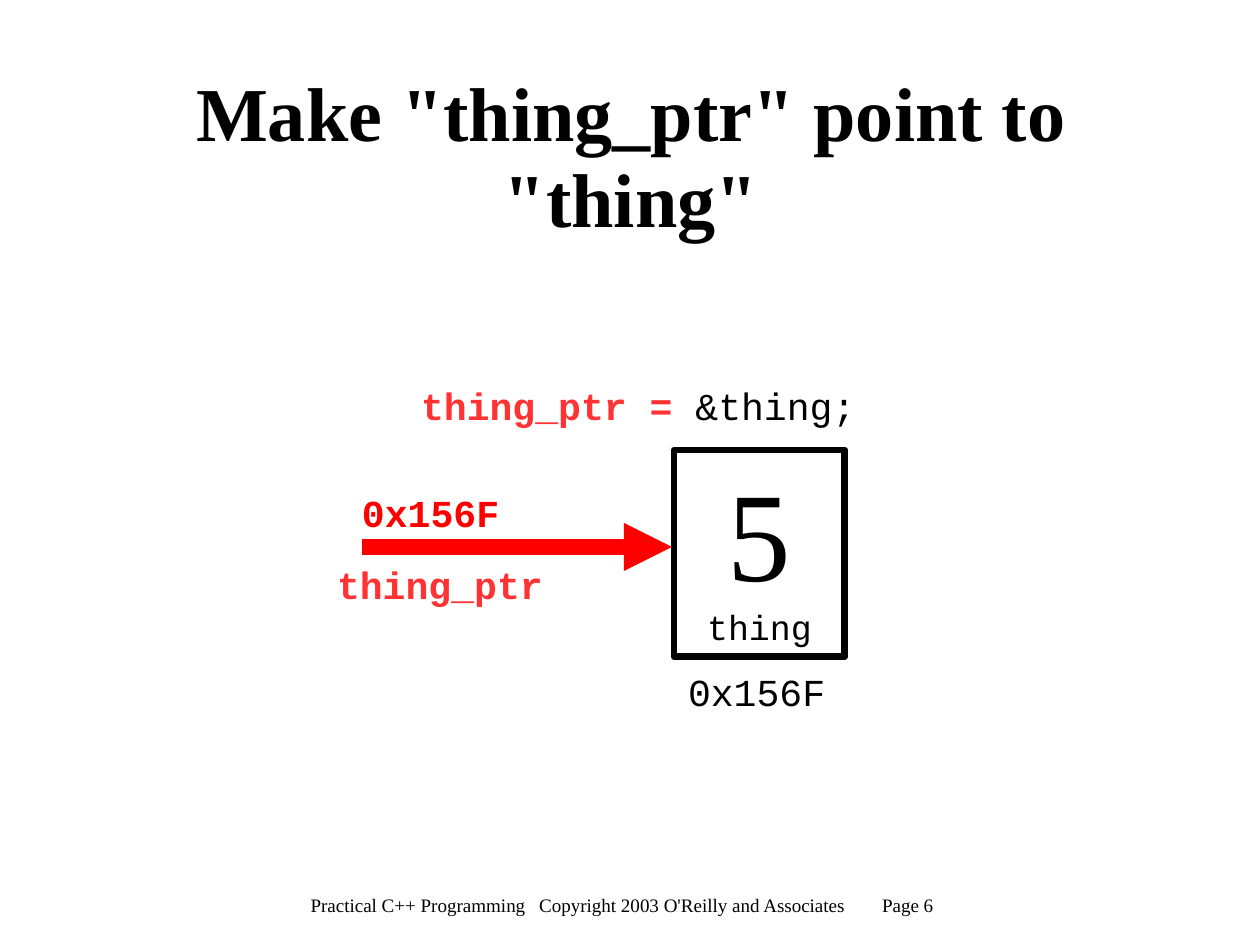
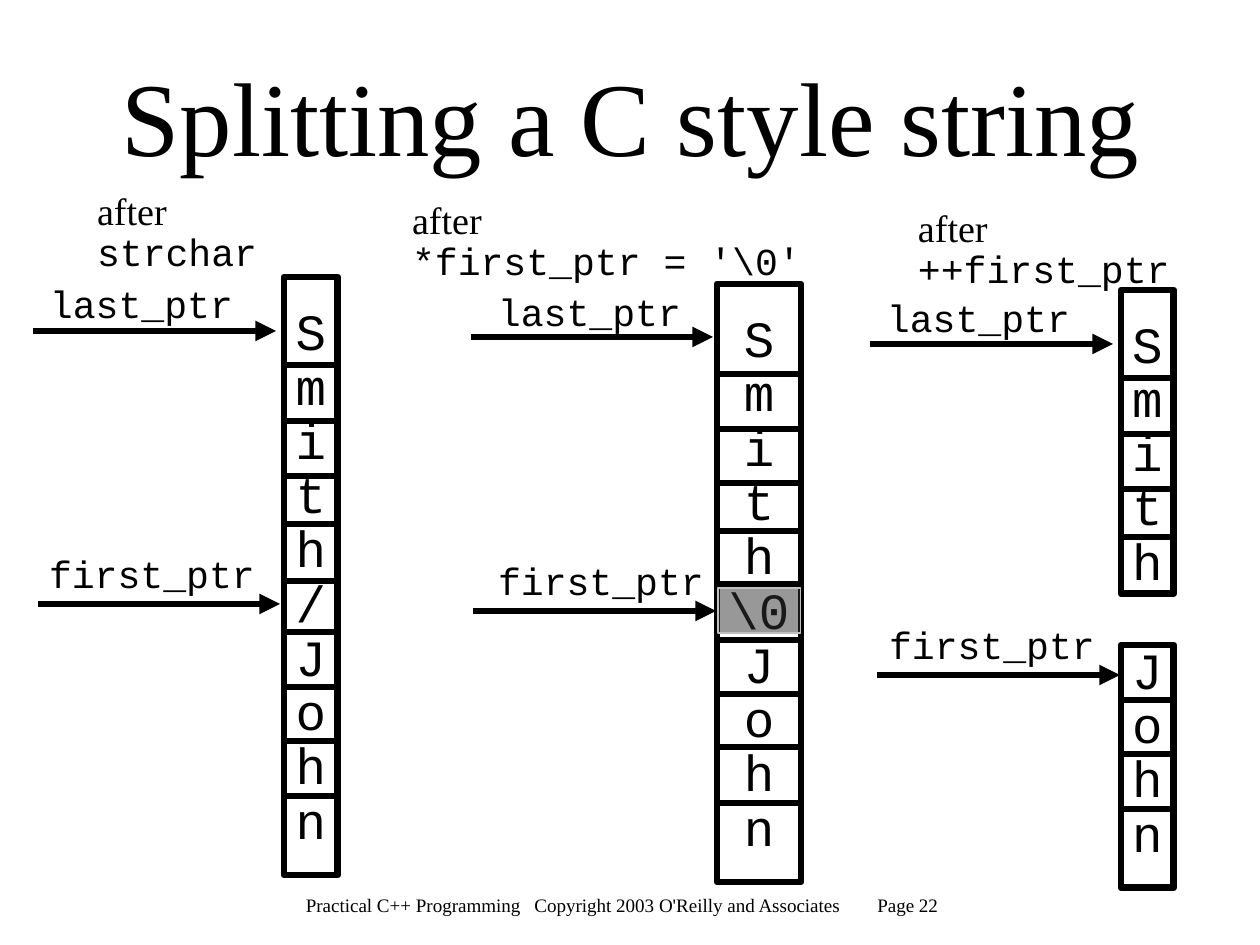
"""Build two slides on pointers and on splitting a C style string."""
from dataclasses import dataclass

import lxml.etree
import pptx
import pptx.dml.color
import pptx.enum.shapes
import pptx.enum.text
import pptx.oxml
import pptx.oxml.ns
import pptx.util

EMU_PER_PX = 8000
ALIGN = pptx.enum.text.PP_ALIGN
ANCHOR = pptx.enum.text.MSO_ANCHOR
SHAPE = pptx.enum.shapes.MSO_SHAPE


@dataclass(frozen=True)
class Theme:
    """Colours, fonts, type sizes and line widths."""
    black: str = "000000"
    white: str = "FFFFFF"
    red: str = "FF0000"
    soft_red: str = "FF3333"
    veil: str = "333333"
    veil_edge: str = "C0C0C0"
    serif: str = "Times New Roman"
    mono: str = "Courier New"
    footer: int = 12
    cell_name: int = 22
    label: int = 24
    letter: int = 32
    title: int = 48
    big_title: int = 66
    value: int = 80
    hairline: float = 0.75
    stroke: float = 4.31
    heavy: float = 10.09


THEME = Theme()
LINE_SPACING = {THEME.serif: 0.95, THEME.mono: 0.89}
ROW_EDGES = (0, 88, 144, 199, 247, 304, 355, 410, 464, 519, 598)
WIDE_ROW_EDGES = (0, 90, 145, 199, 247, 300, 356, 410, 463, 519, 598)


@dataclass(frozen=True)
class Box:
    """Place and size in px."""
    left: int
    top: int
    width: int
    height: int


@dataclass(frozen=True)
class Run:
    """Text in one colour and weight."""
    text: str
    color: str = THEME.black
    bold: bool = False


@dataclass(frozen=True)
class Line:
    """One paragraph with its font and size."""
    runs: tuple[Run, ...]
    font: str = THEME.mono
    size: int = THEME.label
    align: ALIGN = ALIGN.LEFT


@dataclass(frozen=True)
class Label:
    """Unwrapped text block."""
    box: Box
    lines: tuple[Line, ...]
    inset: int = 5


@dataclass(frozen=True)
class Arrow:
    """Horizontal arrow pointing right."""
    start: int
    end: int
    y: int
    color: str = THEME.black
    weight: float = THEME.stroke


@dataclass(frozen=True)
class Strip:
    """Run of letter cells, placed by the top of its whole column."""
    left: int
    top: int
    width: int
    letters: tuple[str, ...]
    first_row: int = 0
    row_edges: tuple[int, ...] = ROW_EDGES


def px(value: int) -> pptx.util.Emu:
    """Turn px into EMU."""
    return pptx.util.Emu(value * EMU_PER_PX)


def rgb(color: str) -> pptx.dml.color.RGBColor:
    """Turn a hex string into a colour."""
    return pptx.dml.color.RGBColor.from_string(color)


def place(box: Box) -> tuple[pptx.util.Emu, ...]:
    """Give left, top, width and height in EMU."""
    return px(box.left), px(box.top), px(box.width), px(box.height)


def code(text: str, color: str = THEME.black, bold: bool = False) -> Line:
    """Make a single-run line in the code font."""
    return Line((Run(text, color, bold),))


def write(shape, lines: tuple[Line, ...], insets: tuple[int, int, int, int],
          anchor: ANCHOR = ANCHOR.TOP, wrap: bool = False) -> None:
    """Fill a shape with lines of text."""
    frame = shape.text_frame
    frame.word_wrap = wrap
    frame.vertical_anchor = anchor
    (frame.margin_left, frame.margin_top,
     frame.margin_right, frame.margin_bottom) = map(px, insets)
    for index, line in enumerate(lines):
        paragraph = frame.add_paragraph() if index else frame.paragraphs[0]
        paragraph.alignment = line.align
        paragraph.line_spacing = LINE_SPACING[line.font]
        paragraph.font.name = line.font
        paragraph.font.size = pptx.util.Pt(line.size)
        paragraph.font.color.rgb = rgb(line.runs[0].color)
        paragraph.font.bold = line.runs[0].bold
        for part in line.runs:
            run = paragraph.add_run()
            run.text = part.text
            if len(line.runs) > 1:
                run.font.color.rgb = rgb(part.color)
                run.font.bold = part.bold


def add_label(slide, label: Label) -> None:
    """Draw an unwrapped text block."""
    write(slide.shapes.add_textbox(*place(label.box)), label.lines, (0, label.inset, 0, 0))


def add_title(slide, text: str, box: Box, size: int, bold: bool = False) -> None:
    """Draw a centred slide title."""
    line = Line((Run(text, bold=bold),), THEME.serif, size, ALIGN.CENTER)
    write(slide.shapes.add_textbox(*place(box)), (line,), (0, 4, 0, 0), ANCHOR.MIDDLE, True)


def add_footer(slide, page: int) -> None:
    """Draw the book line with its page number."""
    text = f"Practical C++ Programming\tCopyright 2003 O'Reilly and Associates\tPage {page}"
    line = Line((Run(text),), THEME.serif, THEME.footer, ALIGN.CENTER)
    add_label(slide, Label(Box(27, 894, 1190, 23), (line,), 1))


def add_block(slide, box: Box, fill: str | None = None, edge: str = THEME.black,
              weight: float = THEME.stroke):
    """Draw an outlined rectangle."""
    shape = slide.shapes.add_shape(SHAPE.RECTANGLE, *place(box))
    shape.shadow.inherit = False
    if fill is None:
        shape.fill.background()
    else:
        shape.fill.solid()
        shape.fill.fore_color.rgb = rgb(fill)
    shape.line.color.rgb = rgb(edge)
    shape.line.width = pptx.util.Pt(weight)
    return shape


def add_rule(slide, start: int, end: int, y: int, color: str = THEME.black,
             weight: float = THEME.stroke):
    """Draw a horizontal line."""
    rule = slide.shapes.add_connector(
        pptx.enum.shapes.MSO_CONNECTOR.STRAIGHT, px(start), px(y), px(end), px(y))
    rule.line.color.rgb = rgb(color)
    rule.line.width = pptx.util.Pt(weight)
    lxml.etree.SubElement(rule._element.spPr, pptx.oxml.ns.qn("a:effectLst"))
    return rule


def add_arrow(slide, arrow: Arrow) -> None:
    """Draw a line with a triangle at its end."""
    rule = add_rule(slide, arrow.start, arrow.end, arrow.y, arrow.color, arrow.weight)
    head = lxml.etree.SubElement(rule.line._get_or_add_ln(), pptx.oxml.ns.qn("a:tailEnd"))
    head.set("type", "triangle")


def add_strip(slide, strip: Strip) -> None:
    """Draw a strip of letters with lines between its rows."""
    last_row = strip.first_row + len(strip.letters)
    edges = [strip.top + edge for edge in strip.row_edges[strip.first_row:last_row + 1]]
    block = add_block(slide, Box(strip.left, edges[0], strip.width, edges[-1] - edges[0]))
    lines = tuple(Line((Run(letter),), size=THEME.letter, align=ALIGN.CENTER)
                  for letter in strip.letters)
    bottom = 25 if last_row == len(strip.row_edges) - 1 else 3
    write(block, lines, (0, 0, 0, bottom), ANCHOR.BOTTOM)
    for edge in edges[1:-1]:
        add_rule(slide, strip.left, strip.left + strip.width, edge)


def add_veil(slide, box: Box) -> None:
    """Shade a cell with half-transparent grey."""
    veil = add_block(slide, box, THEME.veil, THEME.veil_edge, THEME.hairline)
    color = veil._element.spPr.find(".//" + pptx.oxml.ns.qn("a:srgbClr"))
    lxml.etree.SubElement(color, pptx.oxml.ns.qn("a:alpha")).set("val", "50000")


def build_pointer_slide(slide) -> None:
    """Draw a pointer aimed at a variable."""
    add_title(slide, 'Make "thing_ptr" point to "thing"', Box(93, 72, 1076, 169),
              THEME.title, True)
    variable = add_block(slide, Box(674, 450, 171, 207), THEME.white)
    write(variable, (Line((Run("5"),), THEME.serif, THEME.value, ALIGN.CENTER),
                     Line((Run("thing"),), THEME.mono, THEME.cell_name, ALIGN.CENTER)),
          (3, 9, 3, 3), ANCHOR.MIDDLE)
    add_arrow(slide, Arrow(362, 672, 547, THEME.red, THEME.heavy))
    assignment = Line((Run("thing_ptr = ", THEME.soft_red, True), Run("&thing;")))
    for label in (
        Label(Box(688, 669, 140, 41), (code("0x156F"),)),
        Label(Box(421, 383, 446, 43), (assignment,)),
        Label(Box(362, 490, 140, 43), (code("0x156F", THEME.red, True),)),
        Label(Box(337, 562, 210, 43), (code("thing_ptr", THEME.soft_red, True),)),
    ):
        add_label(slide, label)
    add_footer(slide, 6)


def build_split_slide(slide) -> None:
    """Draw three stages of splitting a string."""
    add_title(slide, "Splitting a C style string", Box(93, 40, 1076, 158), THEME.big_title)
    for strip in (
        Strip(284, 277, 54, tuple("Smith/John")),
        Strip(717, 284, 84, (*"Smith", "\\0", *"John"), row_edges=WIDE_ROW_EDGES),
        Strip(1121, 290, 53, tuple("Smith")),
        Strip(1121, 290, 53, tuple("John"), 6),
    ):
        add_strip(slide, strip)
    for arrow in (
        Arrow(33, 276, 331), Arrow(38, 280, 604),
        Arrow(471, 713, 337), Arrow(473, 716, 611),
        Arrow(870, 1113, 344), Arrow(877, 1120, 675),
    ):
        add_arrow(slide, arrow)
    for left, top in ((50, 281), (498, 289), (887, 295)):
        add_label(slide, Label(Box(left, top, 190, 41), (code("last_ptr"),)))
    for left, top in ((49, 551), (498, 558), (889, 622)):
        add_label(slide, Label(Box(left, top, 210, 41), (code("first_ptr"),)))
    after = Line((Run("after"),), THEME.serif)
    for left, top, width, step in (
        (97, 189, 165, "strchar"),
        (412, 198, 400, "*first_ptr = '\\0'"),
        (918, 206, 260, "++first_ptr"),
    ):
        add_label(slide, Label(Box(left, top, width, 83), (after, code(step)), 2))
    add_veil(slide, Box(718, 588, 83, 45))
    add_footer(slide, 22)


def main() -> None:
    """Build and save the presentation."""
    presentation = pptx.Presentation()
    presentation.slide_width, presentation.slide_height = px(1260), px(945)
    for build in (build_pointer_slide, build_split_slide):
        build(presentation.slides.add_slide(presentation.slide_layouts[6]))
    presentation.save("out.pptx")


if __name__ == "__main__":
    main()
